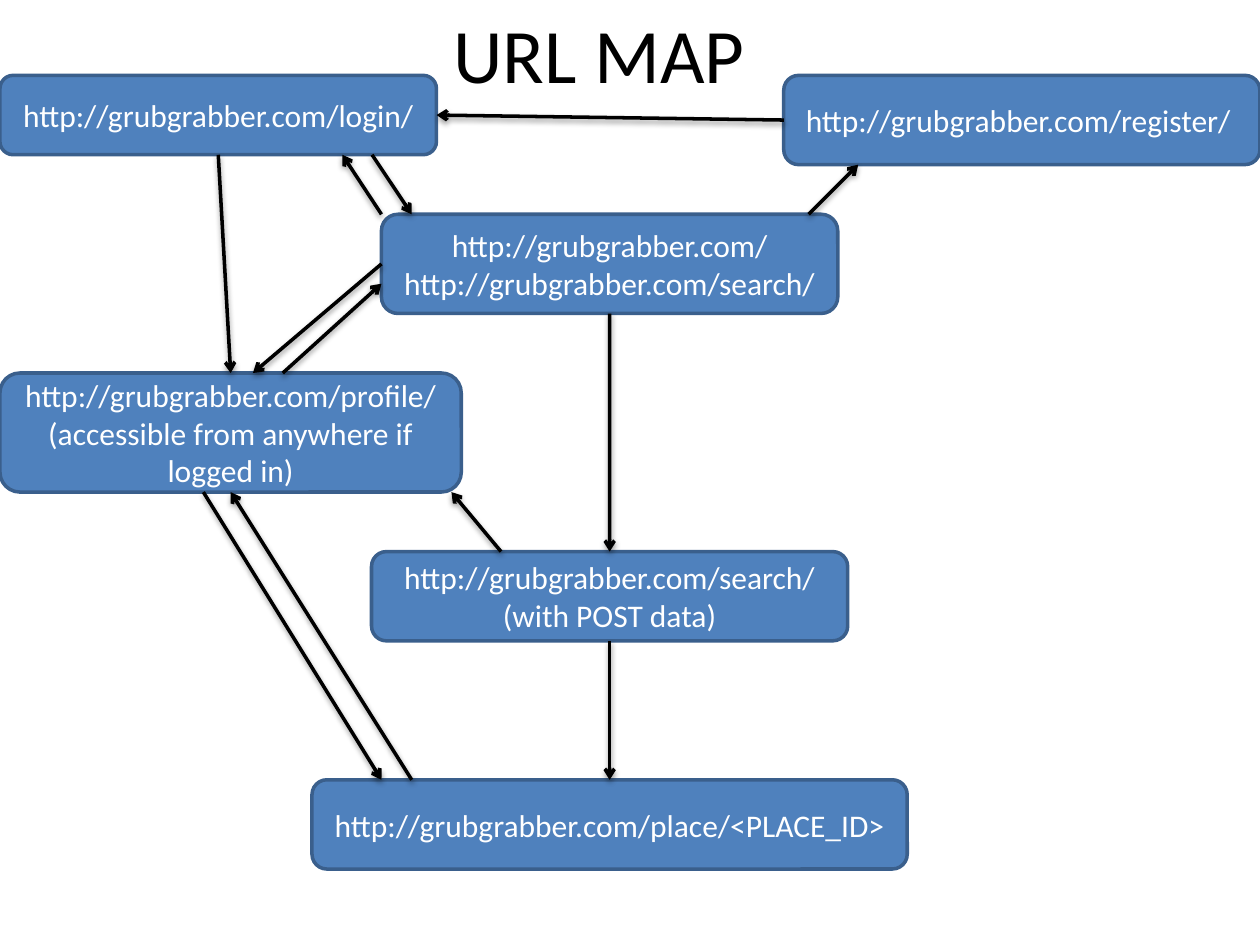
from typing import NamedTuple, Union

from lxml import etree
from pptx import Presentation
from pptx.dml.color import RGBColor
from pptx.enum.shapes import MSO_CONNECTOR, MSO_SHAPE
from pptx.enum.text import MSO_ANCHOR, MSO_AUTO_SIZE, PP_ALIGN
from pptx.oxml.ns import qn
from pptx.util import Cm, Pt

ROUND = MSO_SHAPE.ROUNDED_RECTANGLE
LINE = MSO_CONNECTOR.STRAIGHT
MIDDLE, TOP_ALIGN = MSO_ANCHOR.MIDDLE, MSO_ANCHOR.TOP
CENTER, START = PP_ALIGN.CENTER, PP_ALIGN.LEFT
NO_FIT = MSO_AUTO_SIZE.NONE
TOP, LEFT, BOTTOM, RIGHT = range(4)

BLUE = RGBColor(0x4F, 0x81, 0xBD)
NAVY = RGBColor(0x3A, 0x5F, 0x8C)
WHITE = RGBColor(0xFF, 0xFF, 0xFF)
BLACK = RGBColor(0x00, 0x00, 0x00)
FONT = "Calibri"
SITE = "http://grubgrabber.com/"


class Page(NamedTuple):
    name: str
    x: float
    y: float
    w: float
    h: float
    lines: tuple


class Side(NamedTuple):
    page: str
    site: int


class Spot(NamedTuple):
    x: float
    y: float


End = Union[Side, Spot]


class Link(NamedTuple):
    start: End
    end: End


# Sizes and places in centimetres
PAGES = [
    Page("home", 7.69, 4.32, 9.2, 2, (SITE, SITE + "search/")),
    Page("login", 0, 1.52, 8.8, 1.6, (SITE + "login/",)),
    Page("register", 15.8, 1.52, 9.6, 1.8, (SITE + "register/ ",)),
    Page("profile", 0, 7.52, 9.3, 2.4,
         (SITE + "profile/", "(accessible from anywhere if logged in)")),
    Page("results", 7.49, 11.12, 9.6, 1.8,
         (SITE + "search/", "(with POST data)")),
    Page("place", 6.29, 15.72, 12, 1.8, (SITE + "place/<PLACE_ID>",)),
]

LINKS = [
    Link(Spot(7.69, 4.32), Spot(6.9, 3.12)),
    Link(Spot(7.5, 3.12), Spot(8.3, 4.32)),
    Link(Spot(16.3, 4.32), Spot(17.3, 3.32)),
    Link(Side("home", BOTTOM), Side("results", TOP)),
    Link(Side("results", BOTTOM), Side("place", TOP)),
    Link(Side("login", BOTTOM), Side("profile", TOP)),
    Link(Side("register", LEFT), Side("login", RIGHT)),
    Link(Side("home", LEFT), Spot(5.1, 7.52)),
    Link(Spot(5.7, 7.52), Spot(7.69, 5.72)),
    Link(Spot(10.1, 11.12), Spot(9.1, 9.92)),
    Link(Spot(8.3, 15.72), Side("profile", BOTTOM)),
    Link(Spot(4.1, 9.92), Spot(7.69, 15.72)),
]


def style(par, size: int, color: RGBColor, align) -> None:
    par.alignment = align
    par.font.name = FONT
    par.font.size = Pt(size)
    par.font.color.rgb = color


def add_title(slide, text: str) -> None:
    title = slide.shapes.title
    title.left, title.top = Cm(8.89), Cm(0)
    title.width, title.height = Cm(8.2), Cm(2.14)
    frame = title.text_frame
    frame.text = text
    frame.auto_size = NO_FIT
    frame.vertical_anchor = TOP_ALIGN
    style(frame.paragraphs[0], 44, BLACK, START)


def add_page(slide, page: Page):
    box = slide.shapes.add_shape(
        ROUND, Cm(page.x), Cm(page.y), Cm(page.w), Cm(page.h))
    box.shadow.inherit = False
    box.fill.solid()
    box.fill.fore_color.rgb = BLUE
    box.line.color.rgb = NAVY
    box.line.width = Pt(2)
    frame = box.text_frame
    frame.word_wrap = True
    frame.vertical_anchor = MIDDLE
    frame.text = "\n".join(page.lines)
    for par in frame.paragraphs:
        style(par, 18, WHITE, CENTER)
    return box


def add_link(slide, link: Link, boxes: dict) -> None:
    # The theme's soft shadow stays on the arrows
    line = slide.shapes.add_connector(LINE, 0, 0, 0, 0)
    if isinstance(link.start, Side):
        line.begin_connect(boxes[link.start.page], link.start.site)
    else:
        line.begin_x, line.begin_y = Cm(link.start.x), Cm(link.start.y)
    if isinstance(link.end, Side):
        line.end_connect(boxes[link.end.page], link.end.site)
    else:
        line.end_x, line.end_y = Cm(link.end.x), Cm(link.end.y)
    line.line.color.rgb = BLACK
    line.line.width = Pt(2)
    stroke = line.line._get_or_add_ln()
    etree.SubElement(stroke, qn("a:tailEnd"), type="arrow")


def main() -> None:
    deck = Presentation()
    deck.slide_width, deck.slide_height = Cm(25.4), Cm(19.05)
    slide = deck.slides.add_slide(deck.slide_layouts[5])

    add_title(slide, "URL MAP")
    boxes = {page.name: add_page(slide, page) for page in PAGES}
    for link in LINKS:
        add_link(slide, link, boxes)

    deck.save("out.pptx")


if __name__ == "__main__":
    main()
